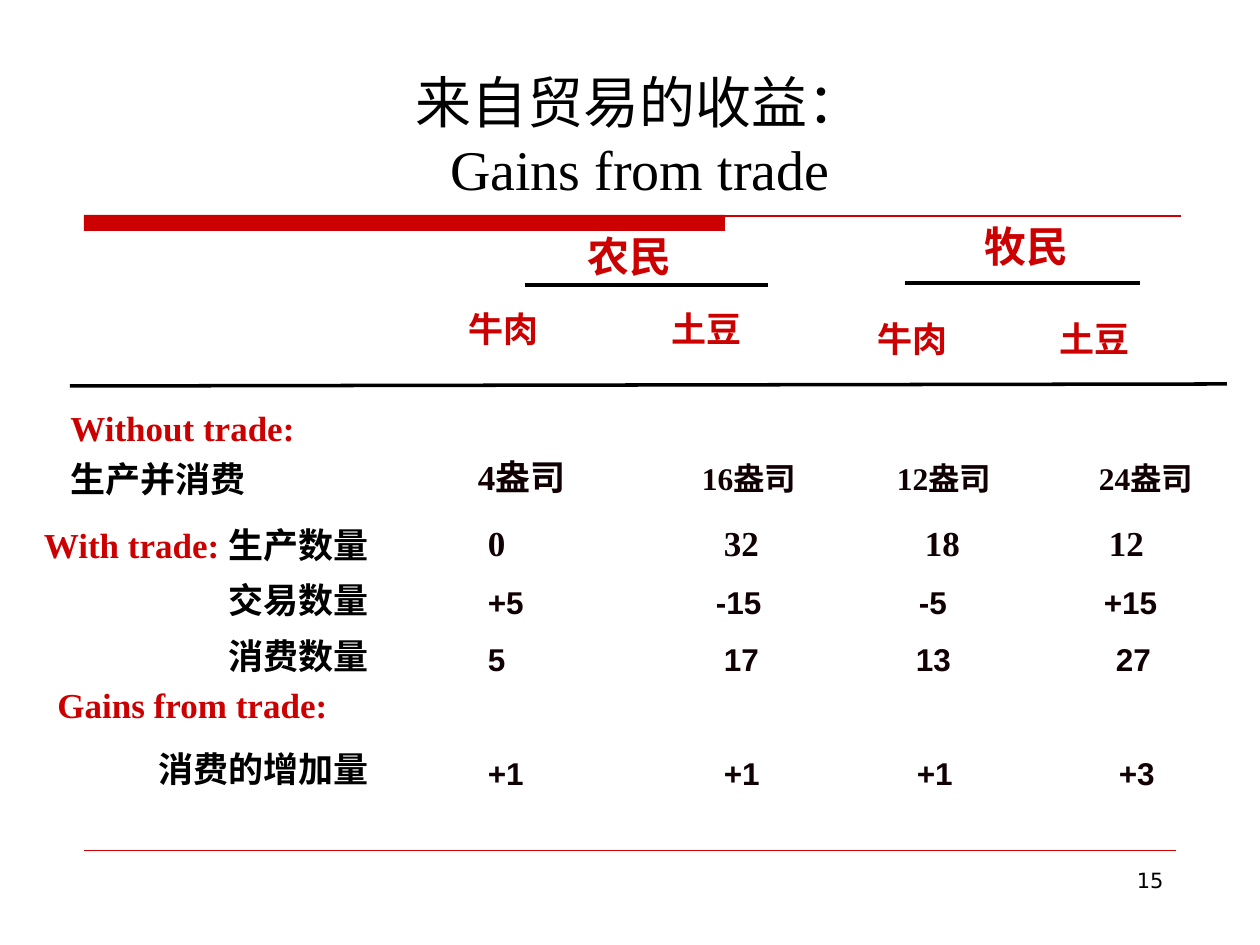
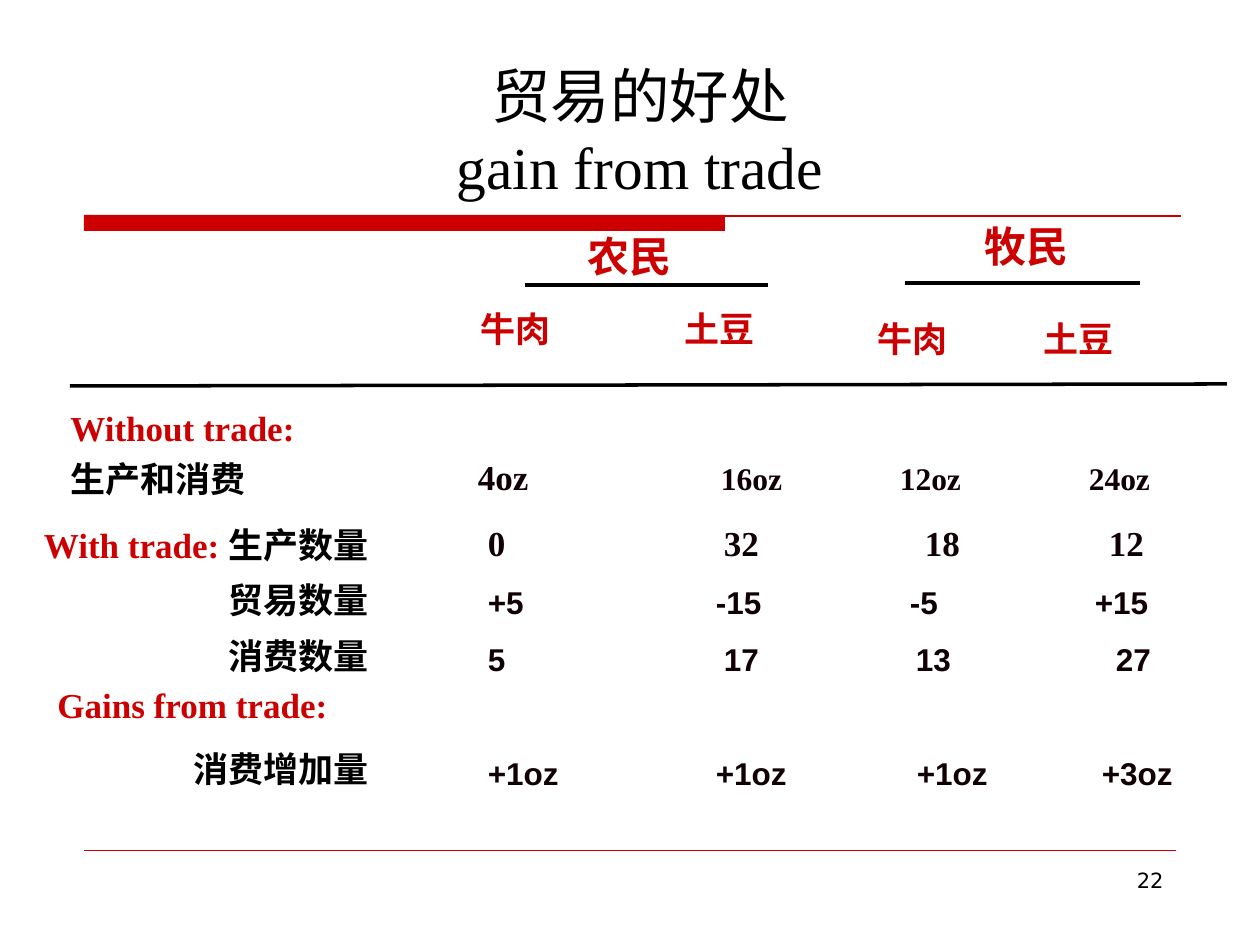
from lxml import etree
from pptx import Presentation
from pptx.dml.color import RGBColor
from pptx.enum.shapes import MSO_CONNECTOR, MSO_SHAPE
from pptx.enum.text import MSO_ANCHOR, MSO_AUTO_SIZE, PP_ALIGN
from pptx.oxml.ns import qn
from pptx.util import Emu, Pt

LEFT, MID, RIGHT = PP_ALIGN.LEFT, PP_ALIGN.CENTER, PP_ALIGN.RIGHT
GROW, FIXED = MSO_AUTO_SIZE.SHAPE_TO_FIT_TEXT, MSO_AUTO_SIZE.NONE
BOTTOM = MSO_ANCHOR.BOTTOM
RECT, STRAIGHT = MSO_SHAPE.RECTANGLE, MSO_CONNECTOR.STRAIGHT

SCALE = 914400 / 126  # EMU in one px
INSET = 12.6          # side margin of a text box, in px
HEX = {"red": "CC0000", "black": "000000", "ink": "100003"}
SERIF, SANS, PAGE = "Times New Roman", "Arial", "DejaVu Sans"

# What differs from slide to slide; each row pairs its values with their x
SLIDES = [
    dict(
        title="来自贸易的收益：\vGains from trade", size=32, page="15",
        farm=[469, 672], herd=[878, 1060],
        make="生产并消费", swap="交易数量", gain="消费的增加量",
        ounces=(["4盎司", "16盎司", "12盎司", "24盎司"], [478, 702, 897, 1099]),
        trade=[488, 716, 919, 1104],
        extra=(["+1", "+1", "+1", "+3"], [488, 724, 917, 1119]),
    ),
    dict(
        title="贸易的好处\vgain from trade", size=34, page="22",
        farm=[481, 685], herd=[878, 1044],
        make="生产和消费", swap="贸易数量", gain="消费增加量",
        ounces=(["4oz", "16oz", "12oz", "24oz"], [478, 721, 900, 1089]),
        trade=[488, 716, 910, 1095],
        extra=(["+1oz", "+1oz", "+1oz", "+3oz"], [488, 716, 917, 1102]),
    ),
]


def px(num):
    return Emu(round(num * SCALE))


def paint(name):
    return RGBColor.from_string(HEX[name])


def style(font, size=20, color="black", bold=True, face=SERIF):
    font.size, font.bold, font.name = Pt(size), bold, face
    font.color.rgb = paint(color)


def write(para, *runs, align=LEFT, gap=0, lead=None, stops=(), **look):
    """Fill a paragraph; each run is text or (text, format changes)."""
    para.alignment, para.space_before = align, Pt(gap)
    if lead:
        para.line_spacing = lead
    if stops:
        props = para._p.get_or_add_pPr()
        tabs = etree.SubElement(props, qn("a:tabLst"))
        for stop in stops:
            etree.SubElement(tabs, qn("a:tab"), pos=str(px(stop)), algn="l")
    for item in runs:
        words, change = (item, {}) if isinstance(item, str) else item
        run = para.add_run()
        run.text = words
        style(run.font, **{**look, **change})


def box(slide, x, y, wide, high):
    """Add a text box and return a function that adds paragraphs to it."""
    frame = slide.shapes.add_textbox(px(x), px(y), px(wide), px(high)).text_frame
    frame.word_wrap, frame.auto_size = True, GROW
    fresh = [frame.paragraphs[0]]

    def add(*runs, **look):
        para = fresh.pop() if fresh else frame.add_paragraph()
        # Tab stops come as slide positions and count from the inner edge
        look["stops"] = [at - x - INSET for at in look.get("stops", ())]
        write(para, *runs, **look)
    return add


def line(slide, x1, y1, x2, y2, color="black", width=2):
    rule = slide.shapes.add_connector(STRAIGHT, px(x1), px(y1), px(x2), px(y2))
    rule.line.color.rgb, rule.line.width = paint(color), Pt(width)
    etree.SubElement(rule._element.spPr, qn("a:effectLst"))


def head(slide, words, size):
    title = slide.shapes.title
    title.left, title.top, title.width, title.height = map(px, (73, 50, 1134, 158))
    frame = title.text_frame
    frame.auto_size, frame.vertical_anchor = FIXED, BOTTOM
    para = frame.paragraphs[0]
    para.text, para.alignment = words, MID
    for run in para.runs:
        style(run.font, size=size, bold=False)


def base(slide, page):
    """Red band below the title, thin foot line and page number."""
    band = slide.shapes.add_shape(RECT, px(84), px(215), px(641), px(16))
    band.shadow.inherit = False
    band.fill.solid()
    band.fill.fore_color.rgb = paint("red")
    band.line.fill.background()
    line(slide, 84, 216, 1181, 216, "red", 0.75)
    line(slide, 84, 850, 1176, 850, "red", 0.25)
    box(slide, 903, 861, 273, 65)(page, align=RIGHT, size=12, bold=False, face=PAGE)


def tabbed(values):
    return "".join("\t" + value for value in values)


def heads(slide, farm, herd):
    """Farmer and herder headings, their goods and the rules."""
    groups = [("农民", 525, 224, 431, 280, farm), ("牧民", 922, 214, 790, 290, herd)]
    for name, x, y, left, top, stops in groups:
        box(slide, x, y, 210, 63)(name, align=MID, gap=15, size=24, color="red")
        box(slide, left, top, 431, 81)(
            ("\t", dict(size=32, bold=False)), "牛肉\t土豆",
            gap=12.5, stops=stops, color="red")
    line(slide, 70, 386, 1227, 384)
    line(slide, 525, 285, 768, 285)
    line(slide, 905, 283, 1140, 283)


def labels(slide, make, swap, gain):
    """Row names at the left."""
    red = dict(color="red")
    add = box(slide, 58, 412, 325, 93)
    add("Without trade:", gap=12.5, lead=0.7, **red)
    add(make, gap=12.5, lead=0.7)
    add = box(slide, 0, 525, 381, 158)
    for runs in ([("With trade: ", red), "生产数量"], [swap], ["消费数量"]):
        add(*runs, align=RIGHT, gap=12.5, lead=0.8)
    add = box(slide, 45, 677, 336, 118)
    add("Gains from trade:", gap=12.5, **red)
    add(gain, align=RIGHT, gap=12.5)


def figures(slide, ounces, trade, extra):
    """Amounts without trade, with trade and gained."""
    values, stops = ounces
    box(slide, 396, 428, 840, 81)(
        ("\t", dict(size=32, bold=False)), (values[0], dict(size=20)),
        tabbed(values[1:]), gap=11.2, stops=stops, size=18, color="ink")
    add = box(slide, 370, 515, 851, 285)
    add(tabbed(["0", "32", "18", "12"]), gap=12.5,
        stops=[488, 724, 925, 1109], color="ink")
    rows = [
        (["+5", "-15", "-5", "+15"], trade, 11.2),
        (["5", "17", "13", "27"], [488, 724, 916, 1116], 11.2),
        (*extra, 43.5),
    ]
    for values, stops, gap in rows:
        add(tabbed(values), gap=gap, stops=stops, size=18, color="ink", face=SANS)


def main():
    deck = Presentation()
    deck.slide_width, deck.slide_height = px(1260), px(945)
    for data in SLIDES:
        slide = deck.slides.add_slide(deck.slide_layouts[5])
        base(slide, data["page"])
        head(slide, data["title"], data["size"])
        heads(slide, data["farm"], data["herd"])
        labels(slide, data["make"], data["swap"], data["gain"])
        figures(slide, data["ounces"], data["trade"], data["extra"])
    deck.save("out.pptx")


if __name__ == "__main__":
    main()
